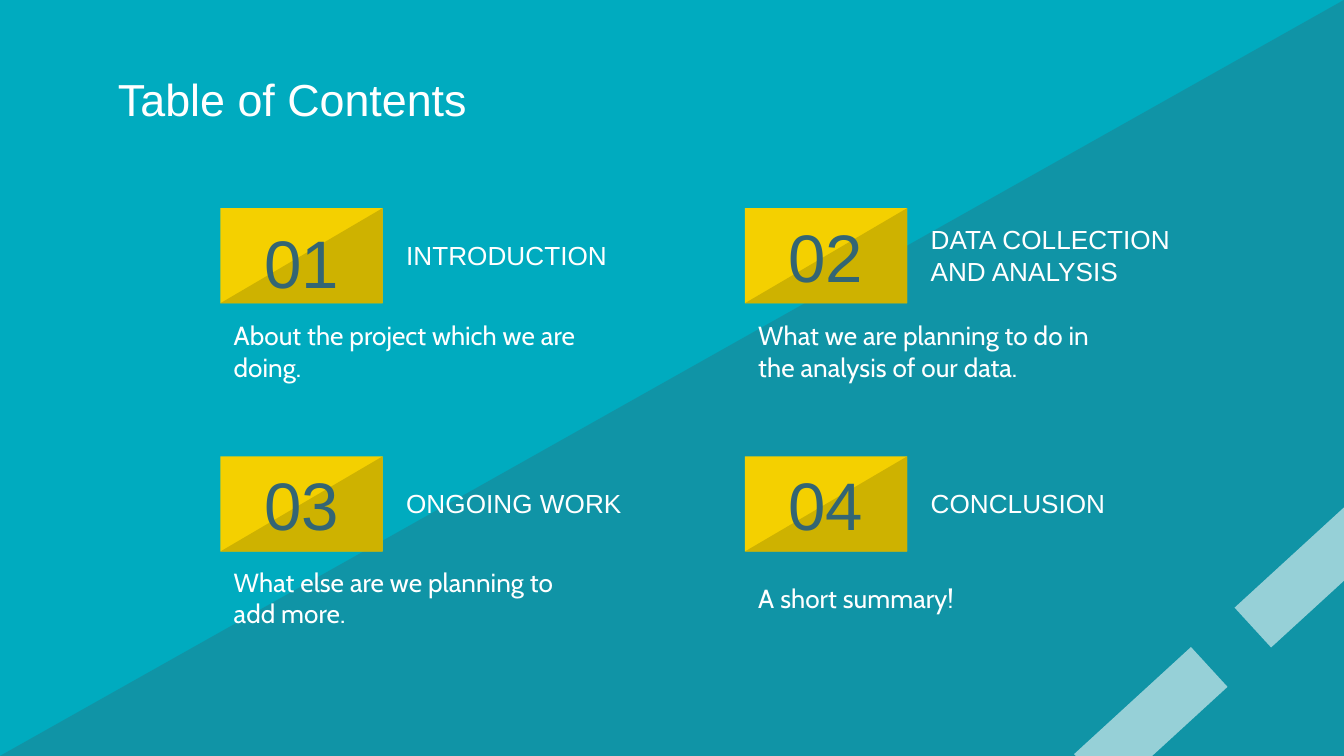
from lxml.etree import SubElement
from pptx import Presentation
from pptx.dml.color import RGBColor
from pptx.enum.shapes import MSO_SHAPE as Shape
from pptx.enum.text import MSO_ANCHOR as Anchor, MSO_AUTO_SIZE as AutoSize, PP_ALIGN as Align
from pptx.oxml.ns import qn
from pptx.util import Pt

WIDTH, HEIGHT = 720, 405
CARD_WIDTH, CARD_HEIGHT = 87, 51
COLUMNS = (118, 399)
# Top of the card, top of the description, anchor of the description
ROWS = ((111.5, 164, Anchor.TOP), (244.5, 295, Anchor.MIDDLE))
# Number, heading, heading width, description, drop of the number
TOPICS = (
    ("01", "INTRODUCTION", 159, "About the project which we are doing.", 3),
    ("02", "DATA COLLECTION AND ANALYSIS", 172,
     "What we are planning to do in the analysis of our data.", 0),
    ("03", "ONGOING WORK", 183, "What else are we planning to add more.", 0),
    ("04", "CONCLUSION", 164, "A short summary!", 0),
)


def color(value):
    return RGBColor.from_string(value)


class Painter:
    white, teal, navy = "FFFFFF", "00ABBF", "336574"
    yellow, mustard = "F4D000", "CEB200"
    heading_font, body_font = "Arial", "Cabin"

    def __init__(self, page):
        self.page = page
        page.background.fill.solid()
        page.background.fill.fore_color.rgb = color(self.teal)

    def shape(self, kind, left, top, width, height, fill, alpha=None):
        shape = self.page.shapes.add_shape(kind, Pt(left), Pt(top), Pt(width), Pt(height))
        shape.shadow.inherit = False
        shape.line.fill.background()
        shape.fill.solid()
        shape.fill.fore_color.rgb = color(fill)
        if alpha is not None:
            tint = shape.fill._xPr.find(".//" + qn("a:srgbClr"))
            SubElement(tint, qn("a:alpha")).set("val", str(alpha * 1000))
        return shape

    def triangle(self, left, top, width, height, fill, alpha=None):
        shape = self.shape(Shape.RIGHT_TRIANGLE, left, top, width, height, fill, alpha)
        shape.element.spPr.find(qn("a:xfrm")).set("flipH", "1")
        return shape

    def send_to_back(self, shape):
        self.page.shapes._spTree.insert(2, shape.element)

    def text(self, box, text, left, top, width, height, size, font,
             ink=white, anchor=Anchor.MIDDLE, align=Align.LEFT):
        box.left, box.top, box.width, box.height = Pt(left), Pt(top), Pt(width), Pt(height)
        frame = box.text_frame
        frame.text = text
        frame.word_wrap = True
        frame.auto_size = AutoSize.NONE
        frame.vertical_anchor = anchor
        frame.margin_left = frame.margin_right = Pt(7.2)
        frame.margin_top = frame.margin_bottom = Pt(7.2)
        para = frame.paragraphs[0]
        para.alignment = align
        para.space_before = Pt(0)
        for span in para.runs:
            span.font.name, span.font.size, span.font.bold = font, Pt(size), False
            span.font.color.rgb = color(ink)
        return para

    def label(self, text, left, top, width, height, size, **style):
        box = self.page.shapes.add_textbox(0, 0, 0, 0)
        self.text(box, text, left, top, width, height, size, self.heading_font, **style)

    def description(self, box, text, left, top, anchor):
        para = self.text(box, text, left, top, 204, 50.5, 14, self.body_font, anchor=anchor)
        properties = para._p.get_or_add_pPr()
        properties.set("marL", "0")
        properties.set("indent", "0")
        SubElement(properties, qn("a:buNone"))

    def card(self, number, left, top, drop):
        self.shape(Shape.RECTANGLE, left, top, CARD_WIDTH, CARD_HEIGHT, self.yellow)
        self.triangle(left, top, CARD_WIDTH, CARD_HEIGHT, self.mustard)
        self.label(number, left, top + drop, CARD_WIDTH, CARD_HEIGHT, 36,
                   ink=self.navy, align=Align.CENTER)


def main():
    deck = Presentation()
    deck.slide_width, deck.slide_height = Pt(WIDTH), Pt(HEIGHT)
    # The comparison layout has a title and four body placeholders
    page = deck.slides.add_slide(deck.slide_layouts[4])
    painter = Painter(page)

    # Backdrop: corner bars above the diagonal half
    for left, top in ((574, 371.5), (660, 293)):
        bar = painter.shape(Shape.RECTANGLE, left, top, 85, 29, painter.white, 56)
        bar.rotation = 317.5
        painter.send_to_back(bar)
    painter.send_to_back(painter.triangle(0, 0, WIDTH, HEIGHT, painter.navy, 32))

    # Title
    painter.text(page.shapes.title, "Table of Contents", 56, 30, 608, 45.5, 24,
                 painter.heading_font)

    # Topics, two by two
    for index, (number, heading, width, description, drop) in enumerate(TOPICS):
        left = COLUMNS[index % 2]
        top, description_top, anchor = ROWS[index // 2]
        painter.card(number, left, top, drop)
        painter.label(heading, left + 92.5, top, width, 50.5, 14)
        painter.description(page.placeholders[index + 1], description,
                            left, description_top, anchor)

    deck.save("out.pptx")


if __name__ == "__main__":
    main()
